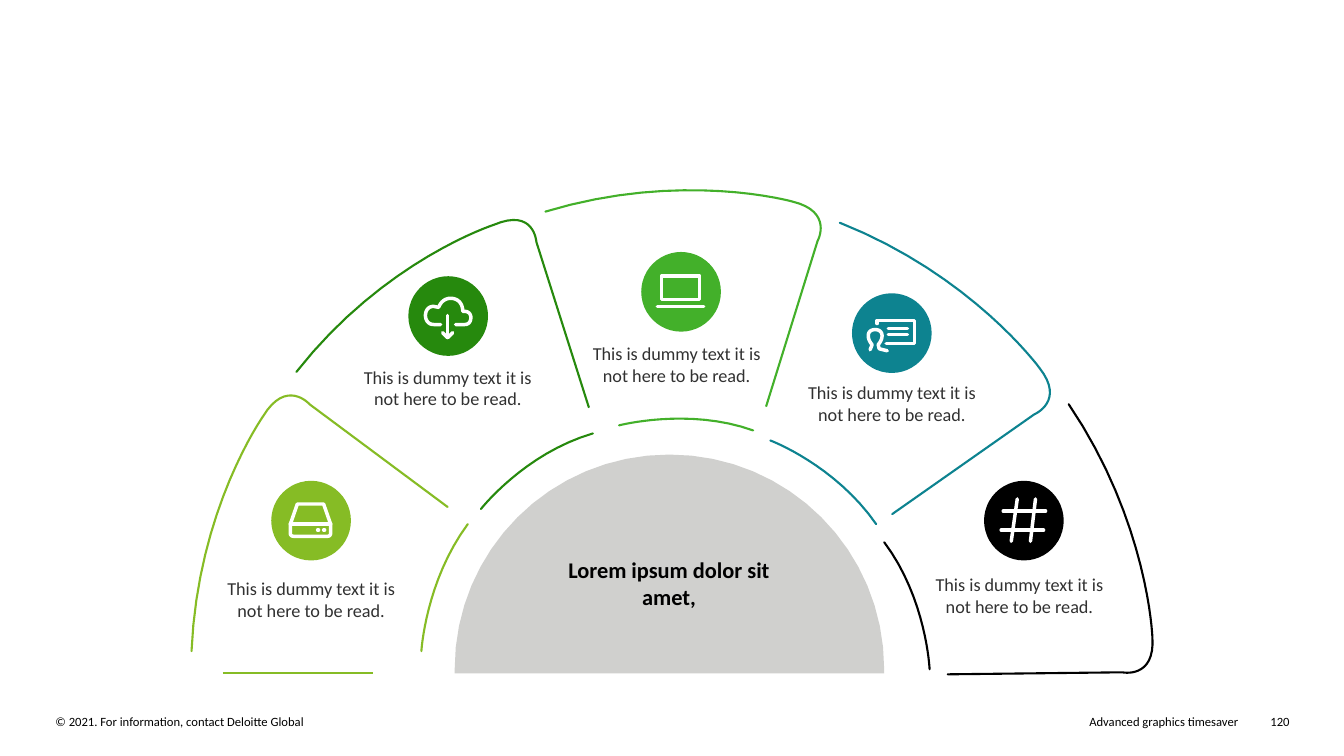
from pptx import Presentation
from pptx.dml.color import RGBColor
from pptx.enum.shapes import MSO_CONNECTOR, MSO_SHAPE
from pptx.enum.text import MSO_AUTO_SIZE, PP_ALIGN
from pptx.oxml.ns import qn
from pptx.util import Pt
from lxml import etree

PX = 9144
STRAIGHT = MSO_CONNECTOR.STRAIGHT
OVAL = MSO_SHAPE.OVAL
FIT_SHAPE = MSO_AUTO_SIZE.SHAPE_TO_FIT_TEXT
LEFT, CENTER, RIGHT = PP_ALIGN.LEFT, PP_ALIGN.CENTER, PP_ALIGN.RIGHT
FONT = "Calibri"
BLACK, WHITE, GREY, TEXT_GREY = "000000", "FFFFFF", "D0D0CE", "313131"
LIME = "86BC25"
CURVE_STEPS = 16
ICON_SIZE = 79
DUMMY_TEXT = "This is dummy text it is not here to be read."

DRIVE = [
    [(26, 23), (52, 23), (59, 43), (59, 52), (59, 55, 56, 55),
     (22, 55), (19, 55, 19, 52), (19, 43), (26, 23)],
    [(19, 43), (59, 43)],
    [(46, 49), (47, 49)],
    [(52, 49), (53, 49)],
]
CLOUD = [
    [(32, 48), (25, 48), (20, 48, 17, 44, 17, 39), (17, 34, 20, 30, 25, 30),
     (30, 31), (32, 26, 36, 22, 42, 22), (49, 22, 54, 27, 54, 35),
     (56, 35), (60, 35, 62, 38, 62, 41), (62, 45, 60, 48, 56, 48), (47, 48)],
    [(39, 39), (39, 61)],
    [(34, 56), (39, 61), (44, 56)],
]
LAPTOP = [
    [(20, 24), (58, 24), (58, 47), (20, 47), (20, 24)],
    [(16, 54), (62, 54)],
]
PRESENTER = [
    [(25, 30), (25, 27), (62, 27), (62, 50), (34, 50)],
    [(36, 35), (55, 35)],
    [(36, 41), (55, 41)],
    [(18, 56), (20, 51), (14, 44, 15, 36, 23, 36),
     (31, 36, 32, 44, 26, 51), (27, 55), (35, 57)],
]
HASH = [
    [(33, 18), (27, 60)],
    [(51, 18), (46, 60)],
    [(19, 30), (61, 30)],
    [(17, 49), (59, 49)],
]

SEGMENTS = [
    (LIME, DRIVE, (79, 308), (26, 404, 185),
     [(254, 334), (117, 232), (94, 206, 71, 244), (6, 336, 0, 477)],
     [(228, 477), (232, 408, 274, 351)]),
    ("26890D", CLOUD, (215, 105), (158, 194, 192),
     [(394, 235), (342, 71), (340, 37, 300, 54), (191, 89, 104, 200)],
     [(287, 336), (330, 281, 398, 261)]),
    ("43B02A", LAPTOP, (446, 81), (397, 171, 168),
     [(570, 234), (621, 70), (637, 41, 596, 31), (486, 0, 351, 41)],
     [(424, 253), (493, 235, 557, 258)]),
    ("0D8390", PRESENTER, (655, 122), (609, 209, 171),
     [(695, 341), (836, 242), (867, 229, 841, 196), (774, 104, 643, 52)],
     [(574, 268), (638, 292, 679, 351)]),
    (BLACK, HASH, (786, 308), (737, 400, 168),
     [(750, 500), (923, 498), (956, 505, 953, 463), (949, 349, 870, 232)],
     [(732, 495), (729, 425, 687, 369)]),
]
DOME = [(0, 217), (0, 213), (0, 95, 95, 0, 213, 0),
        (331, 0, 426, 95, 426, 213), (426, 217)]


def color(value):
    return RGBColor.from_string(value)


def flatten(steps):
    points = [steps[0]]
    for step in steps[1:]:
        start, end = points[-1], step[-2:]
        if len(step) == 2:
            points.append(end)
            continue
        first = step[:2] if len(step) == 6 else start
        second = step[-4:-2]
        for index in range(1, CURVE_STEPS + 1):
            t = index / CURVE_STEPS
            weights = ((1 - t) ** 3, 3 * t * (1 - t) ** 2, 3 * t * t * (1 - t), t ** 3)
            corners = (start, first, second, end)
            points.append(tuple(sum(w * c[axis] for w, c in zip(weights, corners))
                                for axis in (0, 1)))
    return points


def add_outline(page, left, top, steps, closed=False):
    points = [((left + x) * PX, (top + y) * PX) for x, y in flatten(steps)]
    builder = page.shapes.build_freeform(*points[0])
    builder.add_line_segments(points[1:], close=closed)
    outline = builder.convert_to_shape()
    outline.shadow.inherit = False
    return outline


def add_stroke(page, left, top, steps, hue, weight=1.5):
    stroke = add_outline(page, left, top, steps)
    stroke.fill.background()
    stroke.line.color.rgb = color(hue)
    stroke.line.width = Pt(weight)
    stroke.get_or_add_ln().set("cap", "rnd")


def add_text(page, left, top, width, height, text, size, hue, align=CENTER, bold=False):
    box = page.shapes.add_textbox(left * PX, top * PX, width * PX, height * PX)
    frame = box.text_frame
    frame.word_wrap = True
    frame.auto_size = FIT_SHAPE
    frame.margin_left = frame.margin_right = frame.margin_top = frame.margin_bottom = 0
    para = frame.paragraphs[0]
    para.text = text
    para.alignment = align
    para.font.name = FONT
    para.font.size = Pt(size)
    para.font.bold = bold
    para.font.color.rgb = color(hue)


def add_icon(page, left, top, glyph, hue):
    disc = page.shapes.add_shape(OVAL, left * PX, top * PX, ICON_SIZE * PX, ICON_SIZE * PX)
    disc.shadow.inherit = False
    disc.fill.solid()
    disc.fill.fore_color.rgb = color(hue)
    disc.line.fill.background()
    for steps in glyph:
        add_stroke(page, left, top, steps, WHITE, 2.5)


def add_segment(page, left, top, hue, glyph, icon, label, petal, arc):
    add_stroke(page, left, top, petal, hue)
    add_stroke(page, left, top, arc, hue)
    add_icon(page, left + icon[0], top + icon[1], glyph, hue)
    add_text(page, left + label[0], top + label[1], label[2], 44, DUMMY_TEXT, 13, TEXT_GREY)


def add_dome(page, left, top):
    dome = add_outline(page, left, top, DOME, closed=True)
    dome.fill.solid()
    dome.fill.fore_color.rgb = color(GREY)
    dome.line.fill.background()
    add_text(page, left + 103, top + 101, 219, 54,
             "Lorem ipsum dolor sit amet,", 16, BLACK, bold=True)


def add_fan(page, left, top):
    add_dome(page, left + 261, top + 282)
    base = page.shapes.add_connector(STRAIGHT, (left + 31) * PX, (top + 499) * PX,
                                     (left + 180) * PX, (top + 499) * PX)
    base.line.color.rgb = color(LIME)
    base.line.width = Pt(1.5)
    etree.SubElement(base._element.spPr, qn("a:effectLst"))
    for segment in SEGMENTS:
        add_segment(page, left, top, *segment)


def add_footer(page, left, top):
    for offset, width, text, align in (
        (0, 586, "© 2021. For information, contact Deloitte Global", LEFT),
        (638, 535, "Advanced graphics timesaver", RIGHT),
        (1190, 34, "120", RIGHT),
    ):
        add_text(page, left + offset, top, width, 15, text, 9, BLACK, align)


def main():
    deck = Presentation()
    deck.slide_width, deck.slide_height = 1333 * PX, 750 * PX
    page = deck.slides.add_slide(deck.slide_layouts[6])
    add_footer(page, 55, 708)
    add_fan(page, 190, 169)
    deck.save("out.pptx")


if __name__ == "__main__":
    main()
